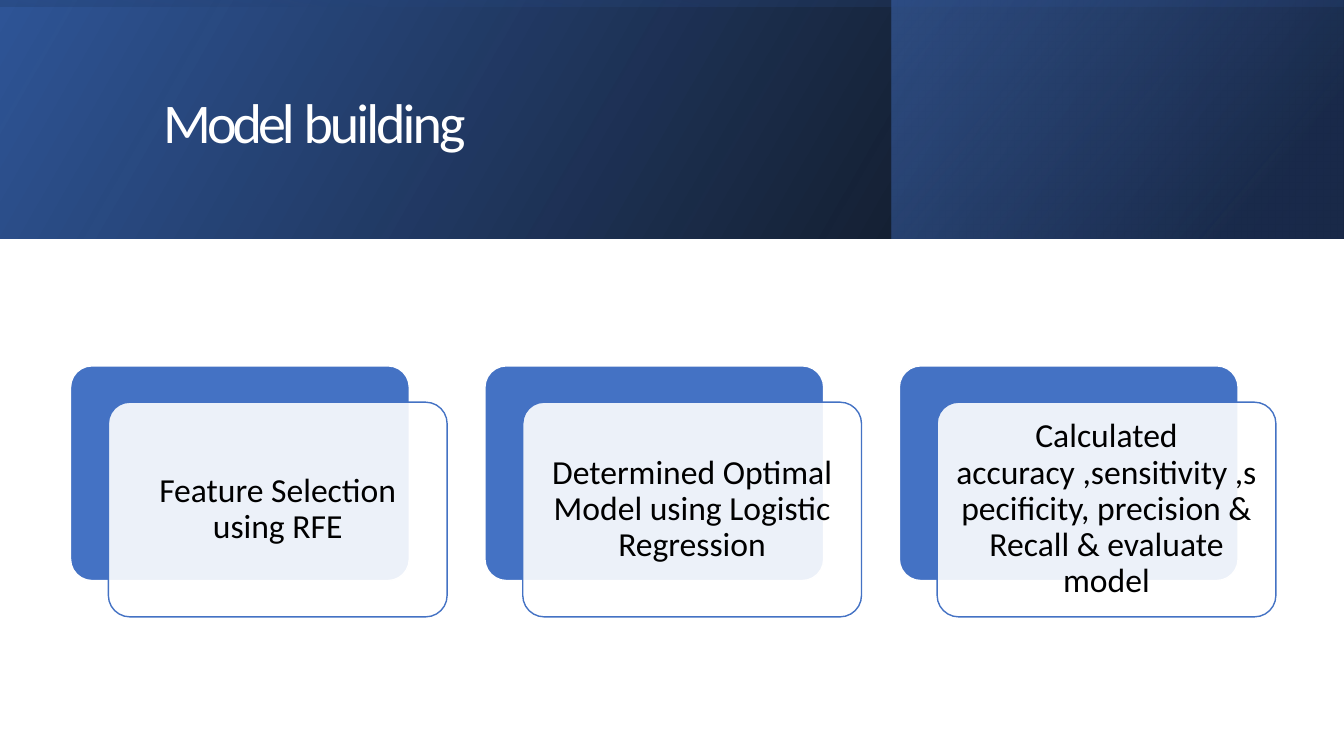
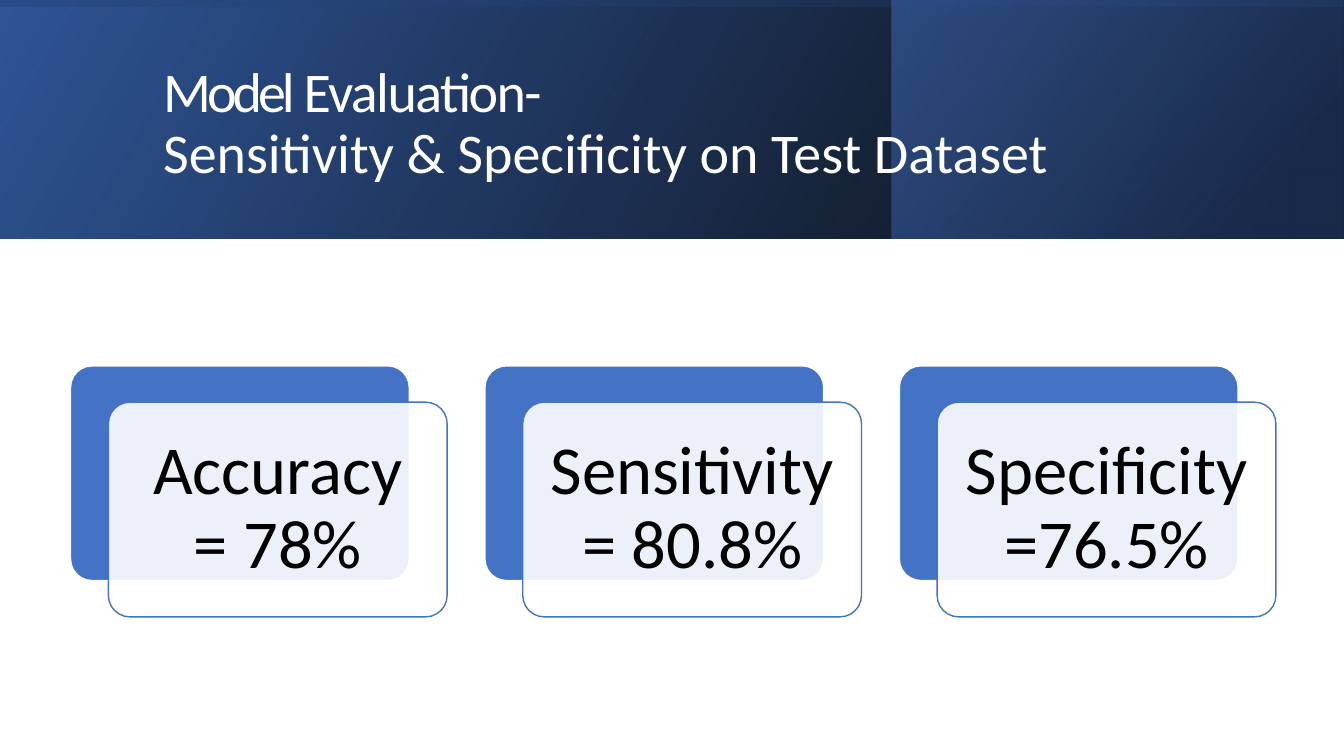
from dataclasses import dataclass

import lxml.etree
import pptx
import pptx.dml.color
import pptx.enum.shapes
import pptx.enum.text
import pptx.oxml.ns
import pptx.util

Inches = pptx.util.Inches
Shapes = pptx.enum.shapes.MSO_SHAPE
qn = pptx.oxml.ns.qn


@dataclass(frozen=True)
class Theme:
    font: str = "Calibri"
    white: str = "FFFFFF"
    black: str = "000000"
    accent: str = "4472C4"
    deep: str = "2F5597"
    navy: str = "203864"
    title_size: int = 40
    step_size: int = 24
    metric_size: int = 49


THEME = Theme()
SLIDE_WIDTH, SLIDE_HEIGHT, BAND_HEIGHT = 13.33, 7.5, 2.37
CARD_WIDTH, CARD_HEIGHT, CARD_TOP = 3.36, 2.13, 3.63
CARD_LEFT, CARD_PITCH = 0.7, 4.11
CARD_SHIFT_X, CARD_SHIFT_Y = 0.375, 0.36


def rgb(value):
    return pptx.dml.color.RGBColor.from_string(value)


def write_text(para, text, *, size, color, spacing=0):
    """Add a run; spacing is the gap between letters in points."""
    span = para.add_run()
    span.text = text
    span.font.name = THEME.font
    span.font.size = pptx.util.Pt(size)
    span.font.color.rgb = rgb(color)
    if spacing:
        span.font._element.set("spc", str(round(spacing * 100)))


def set_alpha(color_element, percent):
    alpha = lxml.etree.SubElement(color_element, qn("a:alpha"))
    alpha.set("val", str(percent * 1000))


def add_box(page, kind, left, top, width, height):
    box = page.shapes.add_shape(
        kind, Inches(left), Inches(top), Inches(width), Inches(height))
    box.shadow.inherit = False
    return box


def add_gradient(page, left, top, width, height, stops, angle, rotation=0):
    """Add a mirrored rectangle; stops are (position, colour, opacity)."""
    box = add_box(page, Shapes.RECTANGLE, left, top, width, height)
    box.rotation = rotation
    box.line.fill.background()
    properties = box._element.spPr
    properties.find(qn("a:xfrm")).set("flipH", "1")
    gradient = lxml.etree.Element(qn("a:gradFill"), rotWithShape="1")
    stop_list = lxml.etree.SubElement(gradient, qn("a:gsLst"))
    for position, color, opacity in stops:
        stop = lxml.etree.SubElement(
            stop_list, qn("a:gs"), pos=str(position * 1000))
        tone = lxml.etree.SubElement(stop, qn("a:srgbClr"), val=color)
        if opacity < 100:
            set_alpha(tone, opacity)
    lxml.etree.SubElement(
        gradient, qn("a:lin"), ang=str(angle * 60000), scaled="0")
    properties.find(qn("a:prstGeom")).addnext(gradient)


def add_band(page):
    add_gradient(page, 0, 0, SLIDE_WIDTH, BAND_HEIGHT,
                 [(0, THEME.black, 96), (100, THEME.deep, 100)], 330)
    add_gradient(page, 8.84, 0, 4.48, BAND_HEIGHT,
                 [(19, THEME.navy, 68), (100, THEME.accent, 48)], 320)
    middle = (SLIDE_WIDTH - BAND_HEIGHT) / 2
    add_gradient(page, middle, -middle, BAND_HEIGHT, SLIDE_WIDTH,
                 [(23, THEME.deep, 16), (99, THEME.black, 45)], 350,
                 rotation=270)


def add_title(page, lines):
    """Add the heading; each line is a list of (text, letter spacing)."""
    box = page.shapes.add_textbox(
        Inches(1.51), Inches(0.38), Inches(10.63), Inches(1.72))
    frame = box.text_frame
    frame.word_wrap = True
    frame.vertical_anchor = pptx.enum.text.MSO_ANCHOR.MIDDLE
    para = frame.paragraphs[0]
    para.line_spacing = 0.9
    para._p.get_or_add_pPr().set("marL", str(Inches(0.01)))
    for number, line in enumerate(lines):
        if number:
            para.add_line_break()
        for text, spacing in line:
            write_text(para, text, size=THEME.title_size,
                       color=THEME.white, spacing=spacing)


def add_rounded(page, left, top, fill, line):
    box = add_box(page, Shapes.ROUNDED_RECTANGLE,
                  left, top, CARD_WIDTH, CARD_HEIGHT)
    box.adjustments[0] = 0.1
    box.fill.solid()
    box.fill.fore_color.rgb = rgb(fill)
    box.line.color.rgb = rgb(line)
    box.line.width = pptx.util.Pt(1)
    return box


def add_card(page, left, text, size, inset):
    """Add a blue plate with a translucent, captioned card over it."""
    add_rounded(page, left, CARD_TOP, THEME.accent, THEME.white)
    card = add_rounded(page, left + CARD_SHIFT_X, CARD_TOP + CARD_SHIFT_Y,
                       THEME.white, THEME.accent)
    fill = card._element.spPr.find(qn("a:solidFill"))
    set_alpha(fill.find(qn("a:srgbClr")), 90)
    frame = card.text_frame
    frame.word_wrap = True
    frame.vertical_anchor = pptx.enum.text.MSO_ANCHOR.MIDDLE
    frame.margin_left = frame.margin_right = Inches(inset)
    frame.margin_top = frame.margin_bottom = Inches(inset)
    para = frame.paragraphs[0]
    para.alignment = pptx.enum.text.PP_ALIGN.CENTER
    para.line_spacing = 0.9
    write_text(para, text, size=size, color=THEME.black)


def add_page(deck, title, captions, size, inset):
    page = deck.slides.add_slide(deck.slide_layouts[6])
    add_band(page)
    add_title(page, title)
    for column, caption in enumerate(captions):
        add_card(page, CARD_LEFT + column * CARD_PITCH, caption, size, inset)


def main():
    deck = pptx.Presentation()
    deck.slide_width = Inches(SLIDE_WIDTH)
    deck.slide_height = Inches(SLIDE_HEIGHT)
    add_page(
        deck,
        [[("Model ", -2.8), ("building", -2.1)]],
        ["Feature Selection using RFE",
         "Determined Optimal Model using Logistic Regression",
         "Calculated accuracy ,sensitivity ,specificity, precision & "
         "Recall & evaluate model"],
        THEME.step_size, 0.1)
    add_page(
        deck,
        [[("Model ", -2.8), ("Evaluation-", -1.1)],
         [("Sensitivity & Specificity on Test Dataset", 0)]],
        ["Accuracy = 78%", "Sensitivity = 80.8%", "Specificity =76.5%"],
        THEME.metric_size, 0.2)
    deck.save("out.pptx")


if __name__ == "__main__":
    main()
